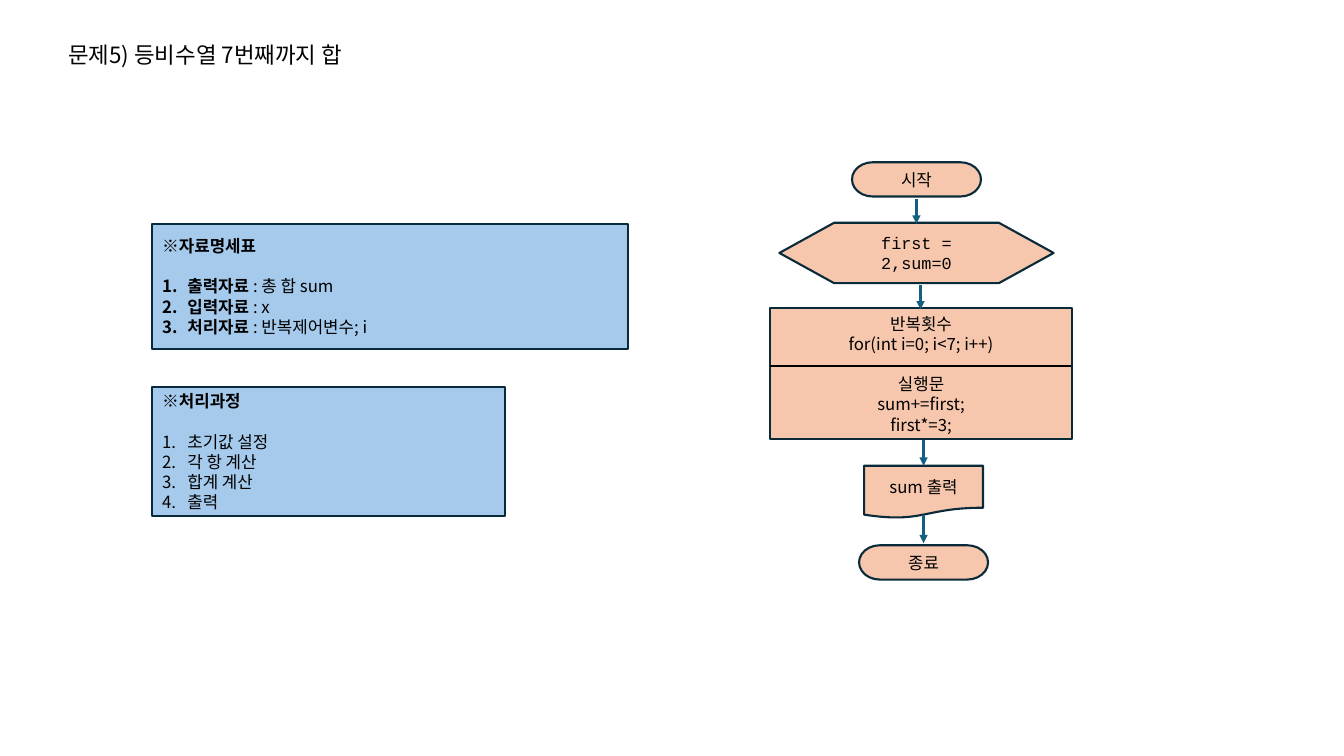
from dataclasses import dataclass

from lxml import etree
from pptx import Presentation
from pptx.dml.color import RGBColor
from pptx.enum.shapes import MSO_CONNECTOR, MSO_SHAPE
from pptx.enum.text import MSO_ANCHOR, MSO_AUTO_SIZE, PP_ALIGN
from pptx.oxml.ns import qn
from pptx.util import Inches, Pt

RECT = MSO_SHAPE.RECTANGLE
TERMINATOR = MSO_SHAPE.FLOWCHART_TERMINATOR
PREPARATION = MSO_SHAPE.FLOWCHART_PREPARATION
DOCUMENT = MSO_SHAPE.FLOWCHART_DOCUMENT
STRAIGHT = MSO_CONNECTOR.STRAIGHT
MIDDLE, TOP = MSO_ANCHOR.MIDDLE, MSO_ANCHOR.TOP
CENTER, LEFT = PP_ALIGN.CENTER, PP_ALIGN.LEFT
FIT_SHAPE = MSO_AUTO_SIZE.SHAPE_TO_FIT_TEXT


@dataclass(frozen=True)
class Theme:
    ink: RGBColor = RGBColor.from_string("000000")
    outline: RGBColor = RGBColor.from_string("092A39")
    arrow: RGBColor = RGBColor.from_string("156082")
    note: RGBColor = RGBColor.from_string("A6CAEC")
    step: RGBColor = RGBColor.from_string("F6C6AD")
    font: str = "Noto Sans CJK KR"
    code: str = "Courier New"
    title: Pt = Pt(16)
    body: Pt = Pt(12)
    gap: Pt = Pt(14.4)
    stroke: Pt = Pt(1.5)
    indent: Inches = Inches(0.25)


def assign(obj, fmt):
    for name, value in fmt.items():
        setattr(obj, name, value)


class Board:
    """Draws styled elements on one slide, with lengths in grid columns and rows."""

    def __init__(self, prs, theme, columns, rows):
        self.theme = theme
        self.col = prs.slide_width / columns
        self.row = prs.slide_height / rows
        self.shapes = prs.slides.add_slide(prs.slide_layouts[6]).shapes

    def grid(self, x, y, *rest):
        units = (self.col, self.row) * 2
        return [round(n * unit) for n, unit in zip((x, y, *rest), units)]

    def run(self, p, text, size, bold, font):
        r = p.add_run()
        r.text = text
        assign(r.font, {"size": size, "bold": bold, "name": font})
        r.font.color.rgb = self.theme.ink
        for tag in ("a:ea", "a:cs"):
            etree.SubElement(r.font._element, qn(tag), typeface=font)

    def number(self, p):
        pPr = p._p.get_or_add_pPr()
        assign_xml = {"marL": self.theme.indent, "indent": -self.theme.indent}
        for name, value in assign_xml.items():
            pPr.set(name, str(value))
        etree.SubElement(pPr, qn("a:buAutoNum"), type="arabicPeriod")

    def paragraphs(self, tf, lines, size, align, font, gap_at=None, numbered=False):
        for i, runs in enumerate(lines):
            p = tf.paragraphs[0] if i == 0 else tf.add_paragraph()
            p.alignment = align
            if i == gap_at:
                p.space_before = self.theme.gap
            if numbered and i:
                self.number(p)
            for text, bold in runs:
                self.run(p, text, size, bold, font)

    def title(self, box, text):
        tf = self.shapes.add_textbox(*self.grid(*box)).text_frame
        assign(tf, {"word_wrap": True, "auto_size": FIT_SHAPE, "vertical_anchor": TOP})
        self.paragraphs(tf, [[(text, False)]], self.theme.title, LEFT, self.theme.font)

    def block(self, kind, box, fill, lines, align, font=None, **layout):
        sp = self.shapes.add_shape(kind, *self.grid(*box))
        sp.shadow.inherit = False
        sp.fill.solid()
        sp.fill.fore_color.rgb = fill
        sp.line.color.rgb = self.theme.outline
        sp.line.width = self.theme.stroke
        tf = sp.text_frame
        assign(tf, {"word_wrap": True, "vertical_anchor": MIDDLE})
        self.paragraphs(tf, lines, self.theme.body, align, font or self.theme.font, **layout)

    def note(self, box, heading, items):
        lines = [[(heading, True)], *items]
        self.block(RECT, box, self.theme.note, lines, LEFT, gap_at=1, numbered=True)

    def step(self, kind, box, *texts, font=None, gap_at=None):
        lines = [[(text, False)] for text in texts]
        self.block(kind, box, self.theme.step, lines, CENTER, font, gap_at=gap_at)

    def line(self, start, end, color):
        cx = self.shapes.add_connector(STRAIGHT, *self.grid(*start, *end))
        cx.line.color.rgb = color
        cx.line.width = self.theme.stroke
        etree.SubElement(cx._element.spPr, qn("a:effectLst"))
        return cx

    def arrow(self, x, top, bottom):
        cx = self.line((x, top), (x, bottom), self.theme.arrow)
        etree.SubElement(cx.line._get_or_add_ln(), qn("a:tailEnd"), type="triangle")


def main():
    prs = Presentation()
    assign(prs, {"slide_width": Inches(13.33), "slide_height": Inches(7.5)})
    theme = Theme()
    board = Board(prs, theme, columns=133.3, rows=75)

    board.title((5.8, 3.6, 47.2, 3.7), "문제5) 등비수열 7번째까지 합")

    data = [("출력자료 ", ": 총 합 sum"), ("입력자료 ", ": x"), ("처리자료 ", ": 반복제어변수; i")]
    board.note((15.1, 22.2, 47.2, 12.4), "※자료명세표",
               [[(label, True), (value, False)] for label, value in data])
    tasks = ["초기값 설정", "각 항 계산", "합계 계산", "출력"]
    board.note((15.1, 38.4, 35, 12.8), "※처리과정", [[(task, False)] for task in tasks])

    board.step(TERMINATOR, (84.5, 16.1, 12.8, 3.4), "시작")
    board.step(PREPARATION, (77.3, 22.1, 27.2, 6), "first = 2,sum=0", font=theme.code)
    board.step(RECT, (76.4, 30.6, 29.9, 13), "반복횟수", "for(int i=0; i<7; i++)",
               "실행문", "sum+=first;", "first*=3;", gap_at=2)
    board.line((76.4, 36.3), (106.2, 36.3), theme.ink)
    board.step(DOCUMENT, (85.7, 46.2, 11.8, 5.2), "sum 출력")
    board.step(TERMINATOR, (85.2, 54.1, 12.8, 3.4), "종료")

    arrows = [(90.9, 19.7, 22.2), (91.3, 28.3, 30.7), (91.6, 43.7, 46.2), (91.6, 51.1, 53.9)]
    for x, top, bottom in arrows:
        board.arrow(x, top, bottom)

    prs.save("out.pptx")


if __name__ == "__main__":
    main()
